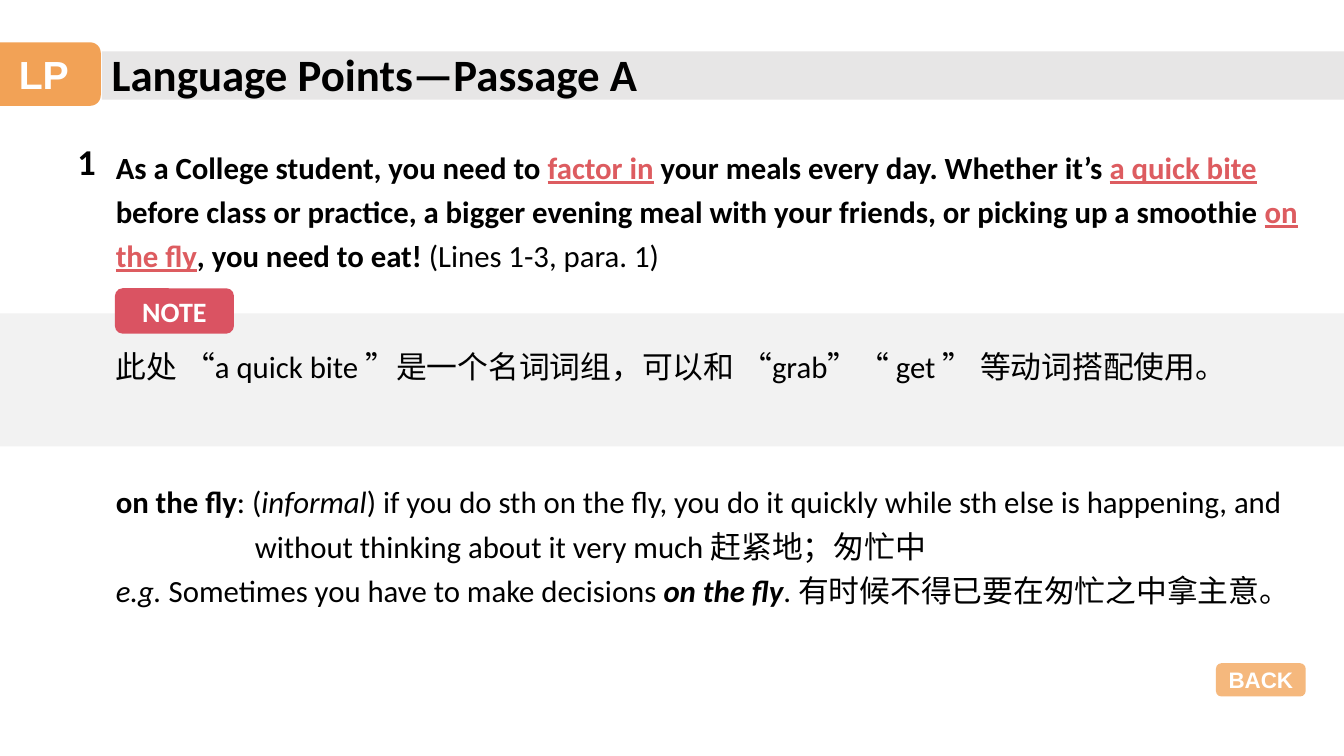
from lxml.etree import SubElement
from pptx import Presentation
from pptx.dml.color import RGBColor
from pptx.enum.shapes import MSO_SHAPE
from pptx.enum.text import MSO_ANCHOR, MSO_AUTO_SIZE, PP_ALIGN
from pptx.oxml.ns import qn
from pptx.util import Inches, Pt

# Content: every paragraph is a list of (text, style) runs
BLACK, WHITE, ORANGE, RED = "000000", "FFFFFF", "F19B48", "DD5C60"
PLAIN, BOLD, ITALIC = {}, {"bold": True}, {"italic": True}
BOLD_ITALIC = {"bold": True, "italic": True}
KEY_PHRASE = {"bold": True, "underline": True, "color": RED}

TITLE = [[("Language Points—Passage A", BOLD)]]
NUMBER = [[("1", BOLD)]]
SENTENCE = [[
    ("As a College student, you need to ", BOLD),
    ("factor in", KEY_PHRASE),
    (" your meals every day. Whether it’s ", BOLD),
    ("a quick bite ", KEY_PHRASE),
    ("before class or practice, a bigger evening meal with your friends, "
     "or picking up a smoothie ", BOLD),
    ("on the fly", KEY_PHRASE),
    (", you need to eat! ", BOLD),
    ("(Lines 1-3, para. 1)", PLAIN),
]]
NOTE = [[("此处 “a quick bite ”是一个名词词组，可以和 “grab”“ get ” 等动词搭配使用。", PLAIN)]]
DEFINITION = [
    [("on the fly", BOLD), (": (", PLAIN), ("informal", ITALIC),
     (") if you do sth on the fly, you do it quickly while sth else is happening, "
      "and without thinking about it very much 赶紧地；匆忙中", PLAIN)],
    [("e.g. ", ITALIC), ("Sometimes you have to make decisions ", PLAIN),
     ("on the fly", BOLD_ITALIC), (". 有时候不得已要在匆忙之中拿主意。", PLAIN)],
]

# Places: left, top, width, height in inches
BANDS = [((1.01, 0.51, 12.33, 0.48), "E7E6E6"), ((0, 3.11, 13.33, 1.32), "F2F2F2")]
BADGES = [  # label, place, fill, opacity in percent, font, size
    ("LP", (-0.13, 0.42, 1.13, 0.63), ORANGE, 92, "Arial", 28),
    ("NOTE", (1.14, 2.86, 1.18, 0.45), "DA5362", 100, "Calibri", 20),
    ("BACK", (12.06, 6.58, 0.89, 0.33), ORANGE, 71, "Arial", 16),
]
TEXTS = [  # paragraphs, place, size, line spacing, hanging indents
    (TITLE, (1.01, 0.41, 5.78, 0.64), 32, 1.0, [0]),
    (NUMBER, (0.67, 1.33, 0.47, 0.54), 26, 1.0, [0]),
    (SENTENCE, (1.05, 1.35, 12.07, 1.4), 22, 1.2, [0]),
    (NOTE, (1.05, 3.33, 11.84, 0.55), 22, 1.2, [0]),
    (DEFINITION, (1.05, 4.67, 11.77, 1.4), 22, 1.2, [1.38, 2.45]),
]


def rgb(color):
    return RGBColor.from_string(color)


def add_run(paragraph, text, size, font="Calibri", color=BLACK,
            bold=False, italic=False, underline=False):
    run = paragraph.add_run()
    run.text = text
    run.font.name, run.font.size = font, Pt(size)
    run.font.bold, run.font.italic, run.font.underline = bold, italic, underline
    run.font.color.rgb = rgb(color)


def add_block(slide, kind, place, color, opacity=100):
    shape = slide.shapes.add_shape(kind, *map(Inches, place))
    shape.shadow.inherit = False
    shape.fill.solid()
    shape.fill.fore_color.rgb = rgb(color)
    shape.line.fill.background()
    if opacity < 100:
        fill_color = shape.fill._xPr.find(qn("a:solidFill"))[0]
        SubElement(fill_color, qn("a:alpha")).set("val", str(opacity * 1000))
    return shape


def add_badge(slide, label, place, color, opacity, font, size):
    shape = add_block(slide, MSO_SHAPE.ROUNDED_RECTANGLE, place, color, opacity)
    frame = shape.text_frame
    frame.word_wrap = False
    frame.vertical_anchor = MSO_ANCHOR.MIDDLE
    paragraph = frame.paragraphs[0]
    paragraph.alignment = PP_ALIGN.CENTER
    add_run(paragraph, label, size, font=font, color=WHITE, bold=True)


def add_text(slide, paragraphs, place, size, spacing, indents):
    frame = slide.shapes.add_textbox(*map(Inches, place)).text_frame
    frame.word_wrap = True
    frame.auto_size = MSO_AUTO_SIZE.SHAPE_TO_FIT_TEXT
    for index, (runs, indent) in enumerate(zip(paragraphs, indents)):
        paragraph = frame.add_paragraph() if index else frame.paragraphs[0]
        paragraph.line_spacing = spacing
        if indent:
            properties = paragraph._p.get_or_add_pPr()
            properties.set("marL", str(Inches(indent)))
            properties.set("indent", str(-Inches(indent)))
        for text, style in runs:
            add_run(paragraph, text, size, **style)


def main():
    presentation = Presentation()
    presentation.slide_width = Inches(13.33)
    presentation.slide_height = Inches(7.5)
    slide = presentation.slides.add_slide(presentation.slide_layouts[6])

    # Grey bands, then badges and text on top
    for place, color in BANDS:
        add_block(slide, MSO_SHAPE.RECTANGLE, place, color)
    for badge in BADGES:
        add_badge(slide, *badge)
    for text in TEXTS:
        add_text(slide, *text)

    presentation.save("out.pptx")


if __name__ == "__main__":
    main()
